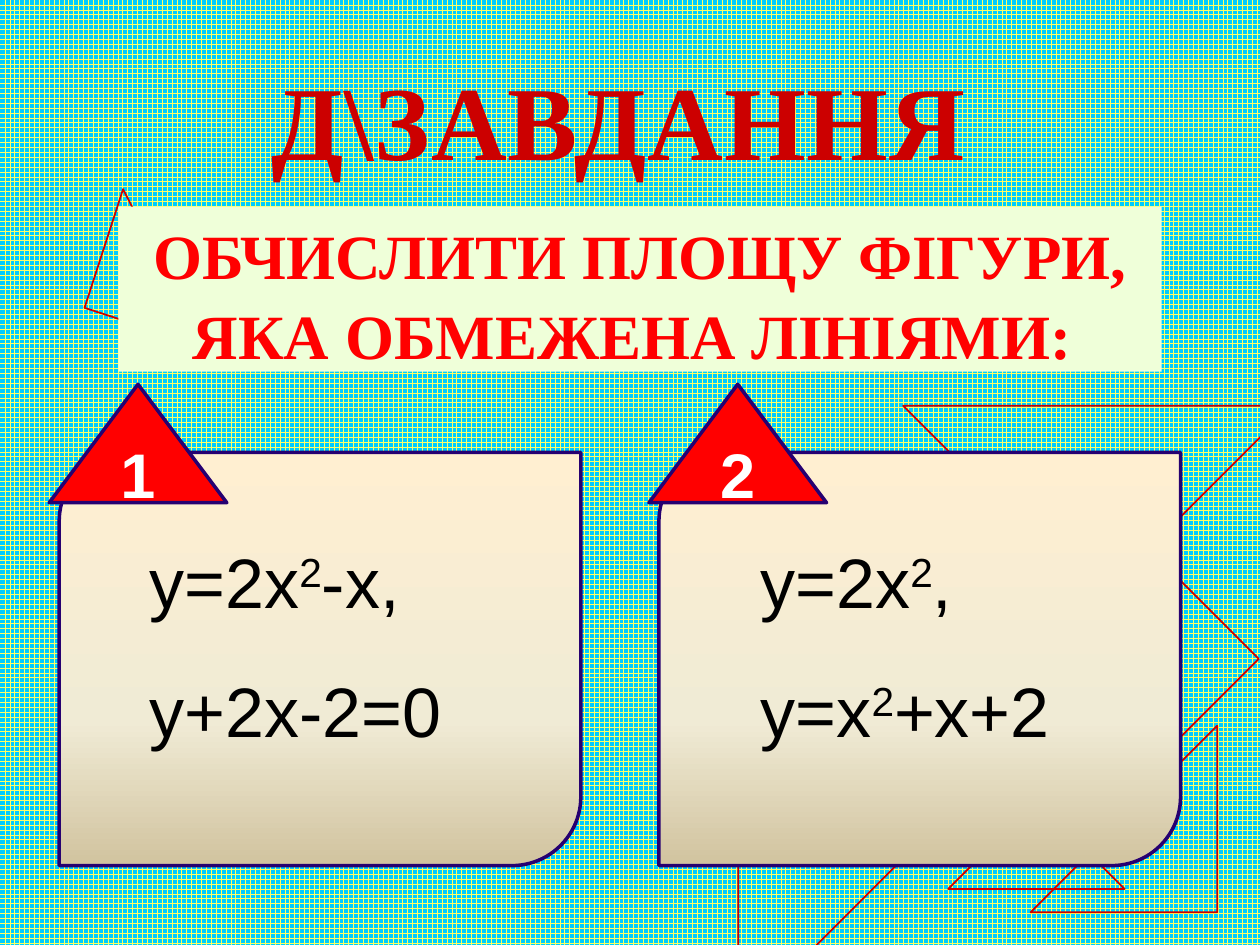
import pptx
import pptx.util
from dataclasses import dataclass
from lxml import etree
from pptx.dml.color import RGBColor
from pptx.enum.dml import MSO_PATTERN
from pptx.enum.shapes import MSO_SHAPE
from pptx.enum.text import MSO_ANCHOR, MSO_AUTO_SIZE, PP_ALIGN
from pptx.oxml.ns import qn
from pptx.util import Inches


@dataclass(frozen=True)
class Theme:
    sky: str = "00CCFF"
    grid: str = "FFFF66"
    outline: str = "CC0000"
    title: str = "CC0000"
    task: str = "FF0000"
    task_fill: str = "EFFFD9"
    card_line: str = "260071"
    card_stops: tuple = ((0, "FFEFD1"), (65, "F0EBD5"), (100, "D1C39F"))
    badge: str = "FF0000"
    badge_text: str = "FFFFFF"
    formula: str = "000000"
    serif: str = "Times New Roman"
    sans: str = "Arial"
    title_size: int = 60
    task_size: int = 36
    badge_size: int = 36
    formula_size: int = 40


THEME = Theme()

# Background outlines: shape, left, top, size, rotation, mirrored
OUTLINES = [
    (MSO_SHAPE.RIGHT_TRIANGLE, 0.8, 1.63, 0.99, 108, True),
    (MSO_SHAPE.RIGHT_TRIANGLE, 7.73, 6.56, 0.99, 225, True),
    (MSO_SHAPE.RIGHT_TRIANGLE, 8.18, 5.76, 1.48, 270, False),
    (MSO_SHAPE.DIAMOND, 8.59, 4.53, 1.4, 0, False),
    (MSO_SHAPE.RIGHT_TRIANGLE, 4.77, 5.49, 2.18, 225, False),
    (MSO_SHAPE.RIGHT_TRIANGLE, 7.62, 2.13, 2.18, 315, False),
]

# Cards: left, formula left, lines; "^" precedes a one-digit exponent
CARDS = [
    (0.47, 1.09, ["у=2х^2-х,", "у+2х-2=0"]),
    (5.23, 5.94, ["у=2х^2,", "у=х^2+х+2"]),
]


def color(value):
    return RGBColor.from_string(value)


def format_font(font, name, size, value, bold=False):
    font.name = name
    font.size = pptx.util.Pt(size)
    font.bold = bold
    font.color.rgb = color(value)


def add_shape(page, kind, place, fill=None, line=None, width=1):
    shape = page.shapes.add_shape(kind, *map(Inches, place))
    shape.shadow.inherit = False
    if fill:
        shape.fill.solid()
        shape.fill.fore_color.rgb = color(fill)
    else:
        shape.fill.background()
    if line:
        shape.line.color.rgb = color(line)
        shape.line.width = pptx.util.Pt(width)
    else:
        shape.line.fill.background()
    return shape


def set_gradient(shape, stops):
    shape.fill.gradient()
    shape.fill.gradient_angle = 270  # downwards
    stop_list = shape.element.spPr.find(qn("a:gradFill")).find(qn("a:gsLst"))
    for old in list(stop_list):
        stop_list.remove(old)
    for position, value in stops:
        stop = etree.SubElement(stop_list, qn("a:gs"), pos=str(position * 1000))
        etree.SubElement(stop, qn("a:srgbClr"), val=value)


def add_outline(page, kind, left, top, size, rotation, mirrored):
    shape = add_shape(page, kind, (left, top, size, size), line=THEME.outline)
    shape.rotation = rotation
    if mirrored:
        shape.element.spPr.find(qn("a:xfrm")).set("flipH", "1")


def set_title(page, text):
    title = page.shapes.title
    title.left, title.top, title.width, title.height = map(Inches, (2.03, 0.39, 5.98, 1.11))
    frame = title.text_frame
    frame.text = text
    frame.word_wrap = False
    frame.vertical_anchor = MSO_ANCHOR.TOP
    para = frame.paragraphs[0]
    para.alignment = PP_ALIGN.CENTER
    span = para.runs[0]
    format_font(span.font, THEME.serif, THEME.title_size, THEME.title, True)
    span.font._element.set("spc", "50")


def add_task(page, text):
    box = add_shape(page, MSO_SHAPE.RECTANGLE, (0.94, 1.64, 8.28, 1.31), THEME.task_fill)
    frame = box.text_frame
    frame.text = text
    frame.word_wrap = True
    frame.vertical_anchor = MSO_ANCHOR.TOP
    para = frame.paragraphs[0]
    para.alignment = PP_ALIGN.CENTER
    para.line_spacing = 1.05
    format_font(para.runs[0].font, THEME.serif, THEME.task_size, THEME.task, True)


def add_span(para, text, raised=False):
    if not text:
        return
    span = para.add_run()
    span.text = text
    format_font(span.font, THEME.sans, THEME.formula_size, THEME.formula)
    if raised:
        span.font._element.set("baseline", "30000")


def add_formulas(page, left, lines):
    box = page.shapes.add_textbox(*map(Inches, (left, 4.23, 3.13, 1.78)))
    frame = box.text_frame
    frame.word_wrap = True
    frame.auto_size = MSO_AUTO_SIZE.SHAPE_TO_FIT_TEXT
    frame.vertical_anchor = MSO_ANCHOR.MIDDLE
    for index, line in enumerate(lines):
        para = frame.add_paragraph() if index else frame.paragraphs[0]
        if index:
            para.space_before = pptx.util.Pt(26)
        base, *powers = line.split("^")
        add_span(para, base)
        for power in powers:
            add_span(para, power[0], raised=True)
            add_span(para, power[1:])


def add_card(page, left, formula_left, lines):
    card = add_shape(page, MSO_SHAPE.ROUND_2_DIAG_RECTANGLE, (left, 3.59, 4.14, 3.28),
                     line=THEME.card_line, width=2)
    set_gradient(card, THEME.card_stops)
    add_formulas(page, formula_left, lines)


def add_badge(page, card_left, number):
    badge = add_shape(page, MSO_SHAPE.FLOWCHART_EXTRACT, (card_left - 0.08, 3.05, 1.41, 0.94),
                      THEME.badge, THEME.card_line, 2)
    frame = badge.text_frame
    frame.text = str(number)
    frame.vertical_anchor = MSO_ANCHOR.MIDDLE
    para = frame.paragraphs[0]
    para.alignment = PP_ALIGN.CENTER
    format_font(para.runs[0].font, THEME.sans, THEME.badge_size, THEME.badge_text, True)


def main():
    deck = pptx.Presentation()
    deck.slide_width, deck.slide_height = Inches(10), Inches(7.5)
    page = deck.slides.add_slide(deck.slide_layouts[5])

    # Grid background with outlined figures
    fill = page.background.fill
    fill.patterned()
    fill.pattern = MSO_PATTERN.LARGE_GRID
    fill.fore_color.rgb = color(THEME.grid)
    fill.back_color.rgb = color(THEME.sky)
    for outline in OUTLINES:
        add_outline(page, *outline)

    # Headings; the trailing space shifts each centred line slightly left
    set_title(page, "Д\\ЗАВДАННЯ ")
    add_task(page, "ОБЧИСЛИТИ ПЛОЩУ ФІГУРИ, ЯКА ОБМЕЖЕНА ЛІНІЯМИ: ")

    # Exercise cards, with numbered badges on top
    for card in CARDS:
        add_card(page, *card)
    for number, card in enumerate(CARDS, 1):
        add_badge(page, card[0], number)

    deck.save("out.pptx")


if __name__ == "__main__":
    main()
